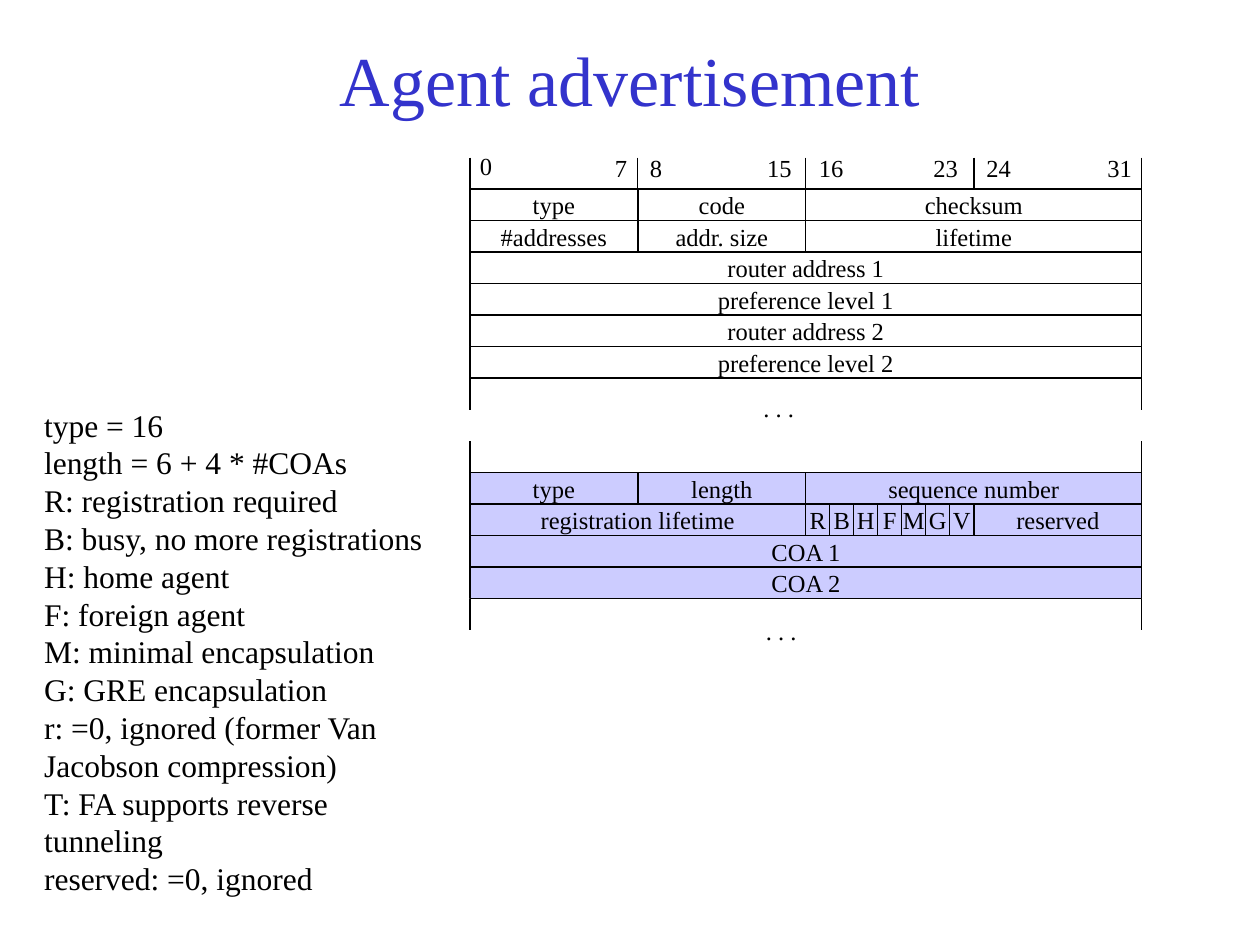
"""Build the agent advertisement slide with its 32-bit message layout."""
from dataclasses import dataclass
from typing import Any

from lxml.etree import SubElement
from pptx import Presentation
from pptx.dml.color import RGBColor
from pptx.enum.shapes import MSO_CONNECTOR as Connector, MSO_SHAPE as Preset
from pptx.enum.text import MSO_ANCHOR as Anchor, MSO_AUTO_SIZE as AutoSize, PP_ALIGN as Align
from pptx.oxml.ns import qn
from pptx.util import Pt

COLORS = {"title": "3333CC", "text": "000000", "line": "000000",
          "base": "FFFFFF", "extension": "CCCCFF"}
FONT = "Times New Roman"
LEFT, TOP, BIT, ROW = 268.5, 90, 12, 18
LINE_WIDTH = 0.74


@dataclass(frozen=True)
class Field:
    text: str
    row: int
    bit: float
    bits: float
    fill: str = "base"


@dataclass(frozen=True)
class Label:
    text: str
    left: float
    top: float
    width: float


FIELDS = [
    Field("type", 1, 0, 8), Field("code", 1, 8, 8), Field("checksum", 1, 16, 16),
    Field("#addresses", 2, 0, 8), Field("addr. size", 2, 8, 8), Field("lifetime", 2, 16, 16),
    Field("router address 1", 3, 0, 32), Field("preference level 1", 4, 0, 32),
    Field("router address 2", 5, 0, 32), Field("preference level 2", 6, 0, 32),
    Field("type", 10, 0, 8, "extension"), Field("length", 10, 8, 8, "extension"),
    Field("sequence number", 10, 16, 16, "extension"),
    Field("registration lifetime", 11, 0, 16, "extension"),
    Field("reserved", 11, 24, 8, "extension"),
    Field("COA 1", 12, 0, 32, "extension"), Field("COA 2", 13, 0, 32, "extension"),
]
FLAGS = [Field(flag, 11, 16 + index * 8 / 7, 8 / 7, "extension")
         for index, flag in enumerate("RBHFMGV")]
TICKS = {0: range(0, 33, 8), 7: (0, 32), 9: (0, 32), 14: (0, 32)}
LABELS = [
    Label("0", 267.1, 82.8, 21.4), Label("7", 344.2, 84.2, 21.4),
    Label("8", 364.3, 84.2, 21.4), Label("15", 431.3, 84.2, 28.4),
    Label("16", 460.8, 84.2, 28.4), Label("23", 526.3, 84.2, 28.4),
    Label("24", 556.6, 84.2, 28.4), Label("31", 625.7, 84.2, 28.4),
    Label(". . .", 429.1, 221, 31.9), Label(". . .", 430.6, 348.5, 31.9),
]
NOTES = [
    "type = 16", "length = 6 + 4 * #COAs", "R: registration required",
    "B: busy, no more registrations", "H: home agent", "F: foreign agent",
    "M: minimal encapsulation", "G: GRE encapsulation",
    "r: =0, ignored (former Van Jacobson compression)",
    "T: FA supports reverse tunneling", "reserved: =0, ignored",
]


def color(name: str) -> RGBColor:
    return RGBColor.from_string(COLORS[name])


def apply(target: Any, values: dict[str, Any]) -> None:
    for name, value in values.items():
        setattr(target, name, value)


def write(box: Any, lines: list[str], size: float, ink: str = "text",
          frame_format: dict[str, Any] | None = None,
          para_format: dict[str, Any] | None = None) -> None:
    frame = box.text_frame
    frame.text = "\n".join(lines)
    apply(frame, {"auto_size": AutoSize.NONE, "word_wrap": False,
                  "margin_left": Pt(7.2), "margin_right": Pt(7.2),
                  "margin_top": Pt(3.6), "margin_bottom": Pt(3.6)} | (frame_format or {}))
    for para in frame.paragraphs:
        apply(para, {"alignment": Align.LEFT} | (para_format or {}))
        for span in para.runs:
            apply(span.font, {"name": FONT, "size": Pt(size)})
            span.font.color.rgb = color(ink)


def place(box: Any, left: float, top: float, width: float, height: float) -> None:
    apply(box, {"left": Pt(left), "top": Pt(top), "width": Pt(width), "height": Pt(height)})


def draw_field(shapes: Any, field: Field) -> None:
    box = shapes.add_shape(Preset.RECTANGLE, Pt(LEFT + field.bit * BIT),
                           Pt(TOP + field.row * ROW), Pt(field.bits * BIT), Pt(ROW))
    box.shadow.inherit = False
    box.fill.solid()
    box.fill.fore_color.rgb = color(field.fill)
    box.line.color.rgb = color("line")
    box.line.width = Pt(LINE_WIDTH)
    write(box, [field.text], 14, frame_format={"vertical_anchor": Anchor.MIDDLE},
          para_format={"alignment": Align.CENTER})


def draw_tick(shapes: Any, row: int, bit: int) -> None:
    across, top = Pt(LEFT + bit * BIT), TOP + row * ROW
    tick = shapes.add_connector(Connector.STRAIGHT, across, Pt(top), across, Pt(top + ROW))
    tick.line.color.rgb = color("line")
    tick.line.width = Pt(LINE_WIDTH)
    SubElement(tick._element.spPr, qn("a:effectLst"))


def draw_label(shapes: Any, label: Label) -> None:
    box = shapes.add_textbox(Pt(label.left), Pt(label.top), Pt(label.width), Pt(24.5))
    write(box, [label.text], 14)


def draw_notes(box: Any) -> None:
    place(box, 18, 228.2, 234, 288)
    write(box, NOTES, 18, frame_format={"word_wrap": True, "vertical_anchor": Anchor.TOP},
          para_format={"space_before": Pt(0), "line_spacing": Pt(21.6)})
    for para in box.text_frame.paragraphs:
        settings = para._p.get_or_add_pPr()
        settings.set("marL", "0")
        settings.set("indent", "0")
        SubElement(settings, qn("a:buNone"))


def build() -> None:
    deck = Presentation()
    apply(deck, {"slide_width": Pt(720), "slide_height": Pt(540)})
    page = deck.slides.add_slide(deck.slide_layouts[1])
    title, notes = page.placeholders
    place(title, 54, 23.8, 612, 41.8)
    write(title, ["Agent advertisement"], 40, "title",
          {"vertical_anchor": Anchor.MIDDLE}, {"alignment": Align.CENTER})
    for field in FIELDS:
        draw_field(page.shapes, field)
    flags = page.shapes.add_group_shape()
    for flag in FLAGS:
        draw_field(flags.shapes, flag)
    for row, bits in TICKS.items():
        for bit in bits:
            draw_tick(page.shapes, row, bit)
    for label in LABELS:
        draw_label(page.shapes, label)
    draw_notes(notes)
    deck.save("out.pptx")


build()
